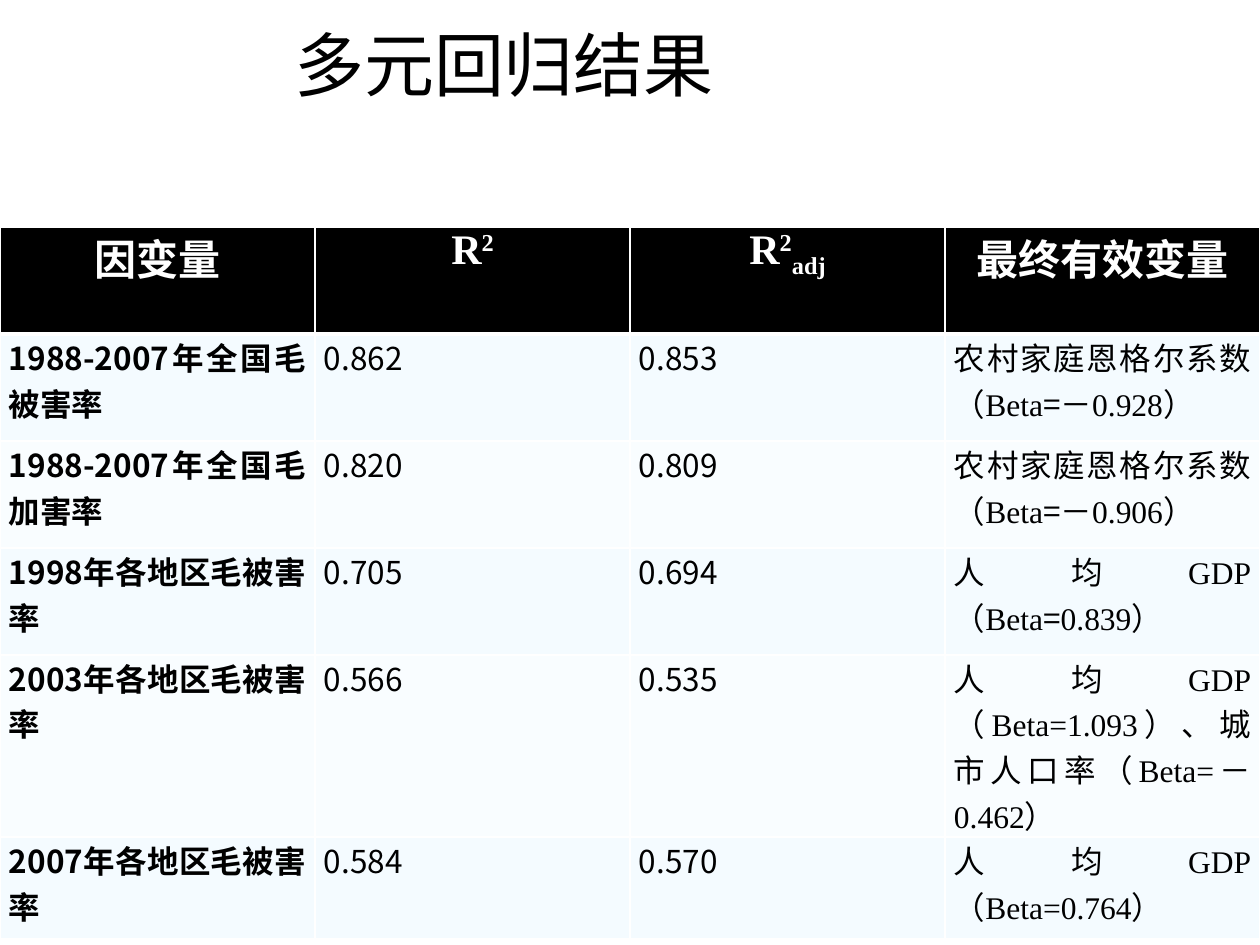
from lxml import etree
from pptx import Presentation
from pptx.dml.color import RGBColor
from pptx.enum.text import MSO_ANCHOR, PP_ALIGN
from pptx.oxml.ns import qn
from pptx.util import Pt

PX = 914400 / 126
CENTER, JUSTIFY = PP_ALIGN.CENTER, PP_ALIGN.JUSTIFY
TOP, MIDDLE = MSO_ANCHOR.TOP, MSO_ANCHOR.MIDDLE
SERIF, SANS, TITLE_FONT = "Times New Roman", "Noto Sans CJK SC", "Noto Sans CJK JP"
COLORS = {"ink": "000000", "white": "FFFFFF", "odd": "F4FBFF", "even": "F9FDFF"}

HEADERS = [
    [("因变量", 0)],
    [("R", 0), ("2", 30)],
    [("R", 0), ("2", 30), ("adj", -25)],
    [("最终有效变量", 0)],
]
RESULTS = [
    ("1988-2007", "年全国毛被害率", "0.862", "0.853", ["农村家庭恩格尔系数（Beta", "=", "－0.928）"]),
    ("1988-2007", "年全国毛加害率", "0.820", "0.809", ["农村家庭恩格尔系数（Beta", "=", "－0.906）"]),
    ("1998", "年各地区毛被害率", "0.705", "0.694", ["人均GDP（Beta", "=", "0.839）"]),
    ("2003", "年各地区毛被害率", "0.566", "0.535", ["人均GDP（Beta=1.093）、城市人口率（Beta=－0.462）"]),
    ("2007", "年各地区毛被害率", "0.584", "0.570", ["人均GDP（Beta=0.764）"]),
]


def px(length):
    return round(length * PX)


def add_run(paragraph, text, font, size, color, bold=False, baseline=0):
    run = paragraph.add_run()
    run.text = text
    run.font.name = font
    run.font.size = Pt(size)
    run.font.bold = bold
    run.font.color.rgb = RGBColor.from_string(COLORS[color])
    properties = run.font._element
    east_asian = etree.Element(qn("a:ea"), typeface=TITLE_FONT if font == TITLE_FONT else SANS)
    properties.find(qn("a:latin")).addnext(east_asian)
    if baseline:
        properties.set("baseline", str(baseline * 1000))


def set_borders(cell, widths):
    properties = cell._tc.get_or_add_tcPr()
    for index, (side, width) in enumerate(widths.items()):
        line = etree.Element(qn(f"a:ln{side}"), w=str(Pt(width)))
        fill = etree.SubElement(line, qn("a:solidFill"))
        etree.SubElement(fill, qn("a:srgbClr"), val=COLORS["white"])
        properties.insert(index, line)


def format_cell(cell, fill, alignment, top=1, bottom=1):
    cell.margin_left = cell.margin_right = px(9)
    cell.margin_top = cell.margin_bottom = 0
    cell.vertical_anchor = TOP
    cell.fill.solid()
    cell.fill.fore_color.rgb = RGBColor.from_string(COLORS[fill])
    set_borders(cell, {"L": 1, "R": 1, "T": top, "B": bottom})
    paragraph = cell.text_frame.paragraphs[0]
    paragraph.alignment = alignment
    return paragraph


def place_title(slide, left, top, width, height):
    title = slide.shapes.title
    title.left, title.top, title.width, title.height = map(px, (left, top, width, height))
    frame = title.text_frame
    frame.margin_left = frame.margin_right = frame.margin_top = frame.margin_bottom = 0
    frame.vertical_anchor = MIDDLE
    paragraph = frame.paragraphs[0]
    paragraph.alignment = CENTER
    add_run(paragraph, "多元回归结果", TITLE_FONT, 40, "ink")


def add_results_table(slide, left, top, width, row_height, last_height):
    row_count = len(RESULTS) + 1
    height = row_height * len(RESULTS) + last_height
    box = map(px, (left, top, width, height))
    table = slide.shapes.add_table(row_count, len(HEADERS), *box).table
    table.horz_banding = False
    for row in table.rows:
        row.height = px(row_height)
    table.rows[row_count - 1].height = px(last_height)

    for column, parts in enumerate(HEADERS):
        paragraph = format_cell(table.cell(0, column), "ink", CENTER, bottom=3)
        for text, baseline in parts:
            add_run(paragraph, text, SERIF, 24, "white", True, baseline)

    for row, (years, measure, r_squared, adjusted, variables) in enumerate(RESULTS, 1):
        contents = [[years, measure], [r_squared], [adjusted], variables]
        for column, parts in enumerate(contents):
            fill = "odd" if row % 2 else "even"
            paragraph = format_cell(table.cell(row, column), fill, JUSTIFY, top=3 if row == 1 else 1)
            for text in parts:
                sans = text in (years, r_squared, adjusted, "=")
                add_run(paragraph, text, SANS if sans else SERIF, 18, "ink", column == 0)


def main():
    presentation = Presentation()
    presentation.slide_width, presentation.slide_height = px(1260), px(945)
    slide = presentation.slides.add_slide(presentation.slide_layouts[5])
    place_title(slide, 10, 29, 988, 68)
    add_results_table(slide, 0, 227, 1260, 107, 102)
    presentation.save("out.pptx")


if __name__ == "__main__":
    main()
